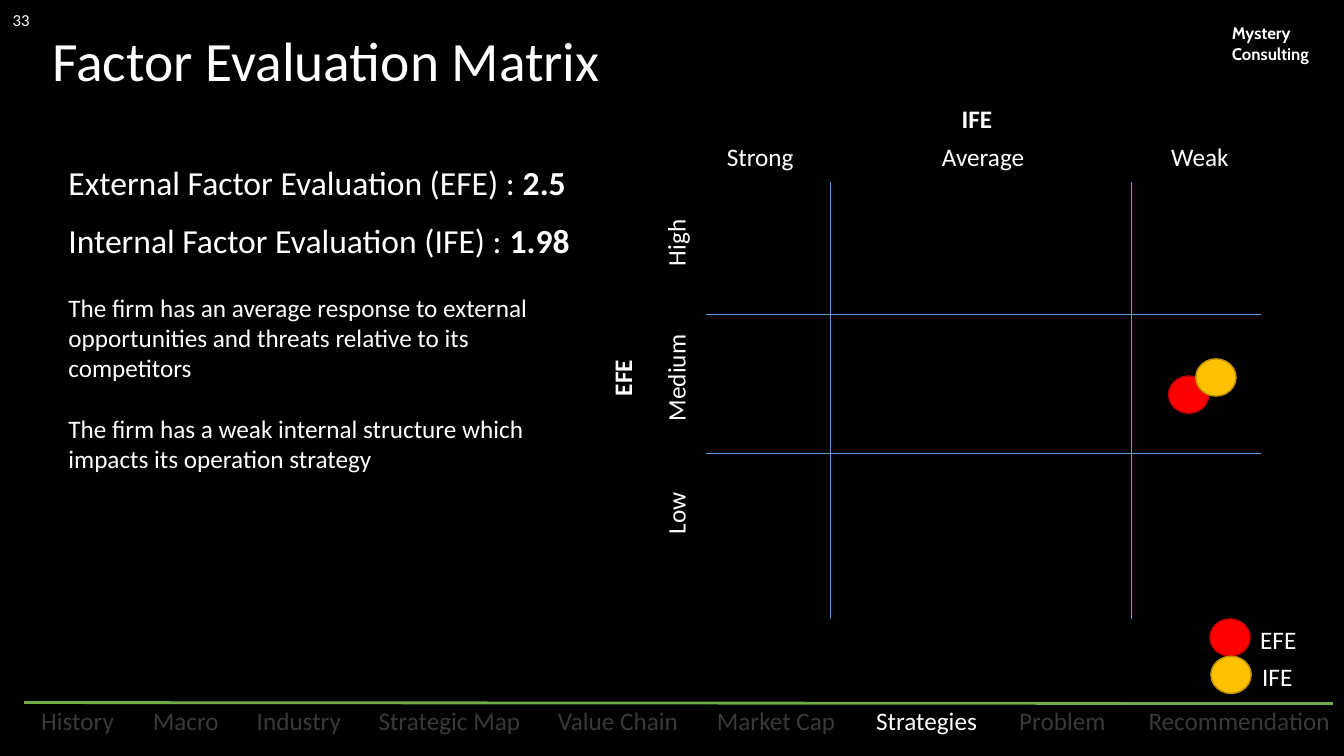
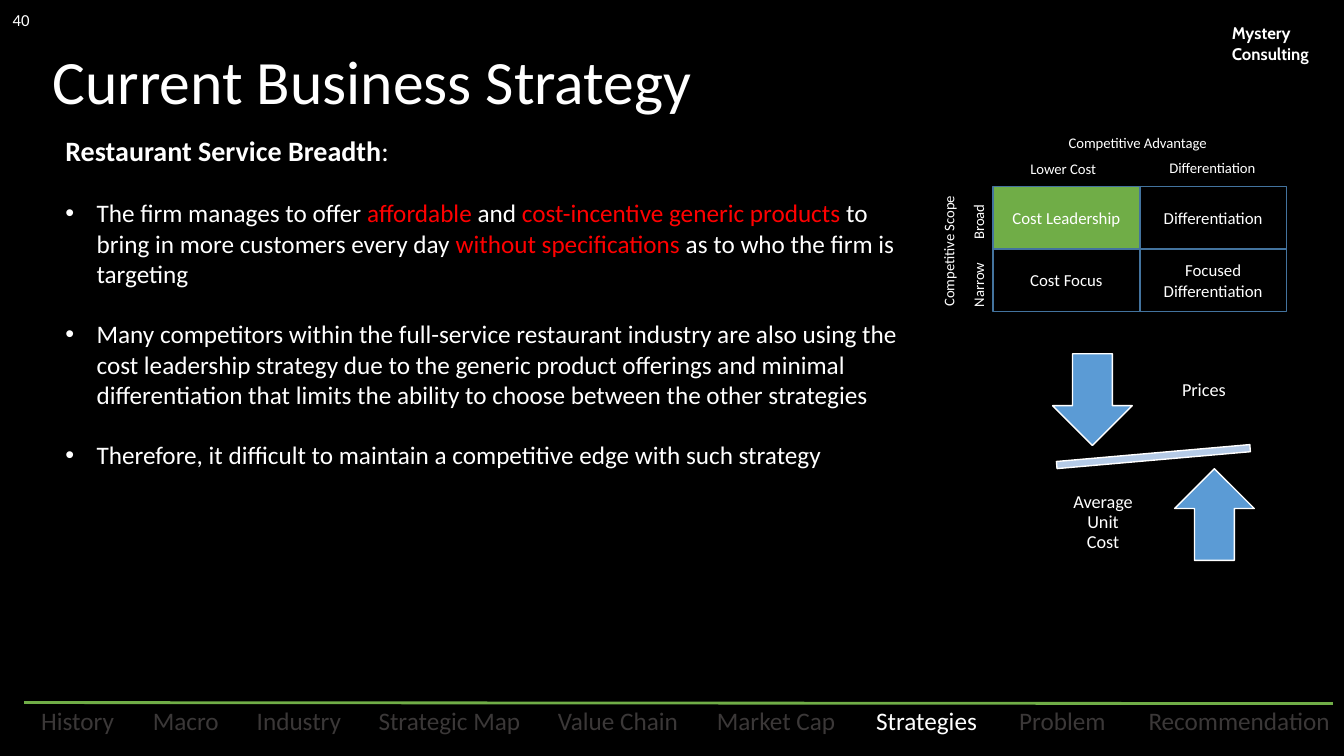
"""Build two strategy slides that share a title style, a firm name and a chapter bar."""
from lxml import etree
from pptx import Presentation
from pptx import util as u
from pptx.dml.color import RGBColor
from pptx.enum import shapes, text
from pptx.oxml import ns

WIDTH, HEIGHT = 13.33, 7.5
FONT = "Calibri"
COLORS = {
    "black": "000000", "white": "FFFFFF", "muted": "3B3838", "green": "70AD47",
    "blue": "5B9BD5", "border": "43739E", "pale": "B5CBE7", "red": "FF0000",
    "dark red": "BD0000", "gold": "FFC000", "dark gold": "BD8E00",
}
KIND = shapes.MSO_SHAPE
LEFT, CENTER = text.PP_ALIGN.LEFT, text.PP_ALIGN.CENTER
TOP, MIDDLE = text.MSO_ANCHOR.TOP, text.MSO_ANCHOR.MIDDLE

FIRM = "Mystery Consulting"
CURRENT = "Strategies"
CHAPTERS = [
    ("History", 0.98), ("Macro", 0.92), ("Industry", 1.08), ("Strategic Map", 1.66),
    ("Value Chain", 1.44), ("Market Cap", 1.45), ("Strategies", 1.29),
    ("Problem", 1.16), ("Recommendation", 2.1),
]
CHAPTER_LEFT, CHAPTER_RIGHT, BAR_Y = 0.28, 13.34, 6.97

SCORES = [("External Factor Evaluation (EFE) : ", "2.5"),
          ("Internal Factor Evaluation (IFE) : ", "1.98")]
FINDINGS = [
    "The firm has an average response to external opportunities and threats "
    "relative to its competitors",
    "The firm has a weak internal structure which impacts its operation strategy",
]
IFE_LEVELS = [("Strong", 6.83), ("Average", 9.04), ("Weak", 11.19)]
EFE_LEVELS = ["High", "Medium", "Low"]
FIELD = {"left": 7, "right": 12.51, "top": 1.81, "bottom": 6.14,
         "columns": [8.24, 11.22], "rows": [3.12, 4.5]}
FACTORS = [
    {"name": "EFE", "fill": "red", "line": "dark red", "spot": (11.59, 3.73)},
    {"name": "IFE", "fill": "gold", "line": "dark gold", "spot": (11.86, 3.56)},
]
DOT = (0.4, 0.37)

RED = {"color": "red"}
BREADTH = [
    [("Restaurant Service Breadth", {"bold": True, "size": 20}), (":", {"size": 20})],
    [("The firm manages to offer ", {}), ("affordable", RED), (" and ", {}),
     ("cost-incentive generic products ", RED),
     ("to bring in more customers every day ", {}), ("without specifications ", RED),
     ("as to who the firm is targeting", {})],
    "Many competitors within the full-service restaurant industry are also using the cost "
    "leadership strategy due to the generic product offerings and minimal differentiation "
    "that limits the ability to choose between the other strategies",
    "Therefore, it difficult to maintain a competitive edge with such strategy",
]
STRATEGIES = [["Cost Leadership", "Differentiation"],
              ["Cost Focus", "Focused Differentiation"]]
STRATEGY_AXES = [
    ("Competitive Scope", (8.74, 2.32, 1.35, 0.29), 270),
    ("Narrow", (9.37, 2.66, 0.68, 0.29), 270),
    ("Broad", (9.37, 1.99, 0.68, 0.29), 270),
    ("Competitive Advantage", (10.5, 1.28, 1.63, 0.28), 0),
    ("Lower Cost", (10.12, 1.54, 0.91, 0.28), 0),
    ("Differentiation", (11.5, 1.53, 1.08, 0.28), 0),
]
BALANCE = [
    (KIND.MATH_MINUS, (10.13, 4.38, 2.62, 0.3), "pale", 355),
    (KIND.DOWN_ARROW, (10.44, 3.51, 0.79, 0.91), "blue", 0),
    (KIND.UP_ARROW, (11.65, 4.65, 0.79, 0.91), "blue", 0),
]
BALANCE_LABELS = [("Prices", (11.52, 3.4, 0.84, 0.95)),
                  ("Average Unit Cost", (10.52, 4.71, 0.84, 0.95))]


def rgb(name):
    return RGBColor.from_string(COLORS[name])


def inches(lengths):
    return [u.Inches(length) for length in lengths]


def write(shape, paragraphs, size=18, color="white", bold=False, font=FONT, align=LEFT,
          anchor=TOP, inset=0.1, gap=0, leading=None, bullets_from=None):
    """Fill a shape with paragraphs, each a string or a list of (text, format) runs."""
    frame = shape.text_frame
    frame.word_wrap = True
    frame.auto_size = text.MSO_AUTO_SIZE.NONE
    frame.vertical_anchor = anchor
    frame.margin_left = frame.margin_right = u.Inches(inset)
    frame.margin_top = frame.margin_bottom = u.Inches(inset / 2)
    if isinstance(paragraphs, str):
        paragraphs = [paragraphs]
    for number, runs in enumerate(paragraphs):
        paragraph = frame.add_paragraph() if number else frame.paragraphs[0]
        paragraph.alignment = align
        if leading:
            paragraph.line_spacing = leading
        if number and gap:
            paragraph.space_before = u.Pt(gap)
        if bullets_from is not None and number >= bullets_from:
            properties = paragraph._p.get_or_add_pPr()
            properties.set("marL", str(u.Inches(0.31)))
            properties.set("indent", str(u.Inches(-0.31)))
            etree.SubElement(properties, ns.qn("a:buFont")).set("typeface", "Arial")
            etree.SubElement(properties, ns.qn("a:buChar")).set("char", "•")
        for words, own in [(runs, {})] if isinstance(runs, str) else runs:
            run = paragraph.add_run()
            run.text = words
            run.font.name = font
            run.font.size = u.Pt(own.get("size", size))
            run.font.bold = own.get("bold", bold)
            run.font.color.rgb = rgb(own.get("color", color))


def label(slide, paragraphs, place, turn=0, **style):
    box = slide.shapes.add_textbox(*inches(place))
    box.rotation = turn
    write(box, paragraphs, **style)
    return box


def draw(slide, kind, place, fill=None, line=None, turn=0):
    shape = slide.shapes.add_shape(kind, *inches(place))
    shape.shadow.inherit = False
    shape.rotation = turn
    if fill:
        shape.fill.solid()
        shape.fill.fore_color.rgb = rgb(fill)
    else:
        shape.fill.background()
    if line:
        shape.line.color.rgb = rgb(line)
        shape.line.width = u.Pt(1)
    else:
        shape.line.fill.background()
    return shape


def rule(slide, start, end, color, weight):
    line = slide.shapes.add_connector(shapes.MSO_CONNECTOR.STRAIGHT, *inches(start + end))
    line.line.color.rgb = rgb(color)
    line.line.width = u.Pt(weight)
    etree.SubElement(line.element.spPr, ns.qn("a:effectLst"))
    return line


def share_parts(slide, layout):
    """Move the chapter bar and the firm name to the layout."""
    for holder in list(layout.placeholders):
        if holder.placeholder_format.type != shapes.PP_PLACEHOLDER.TITLE:
            layout.shapes.element.remove(holder.element)
    parts = [rule(slide, (0.24, BAR_Y), (13.22, BAR_Y + 0.01), "green", 2),
             label(slide, FIRM, (12.12, 0.18, 1.1, 0.5), size=12, font="Cabin", bold=True)]
    free = CHAPTER_RIGHT - CHAPTER_LEFT - sum(width for _, width in CHAPTERS)
    left = CHAPTER_LEFT
    for chapter, width in CHAPTERS:
        tab = draw(slide, KIND.ROUNDED_RECTANGLE, (left, BAR_Y + 0.02, width, 0.32))
        write(tab, chapter, color="white" if chapter == CURRENT else "muted",
              align=CENTER, anchor=MIDDLE, inset=0)
        parts.append(tab)
        left += width + free / (len(CHAPTERS) - 1)
    for part in parts:
        layout.shapes.element.append(part.element)


def start_slide(deck, layout, title, number, top, height, size):
    slide = deck.slides.add_slide(layout)
    heading = slide.shapes.title
    heading.left, heading.top, heading.width, heading.height = inches(
        (0.42, top, 11.31, height))
    write(heading, title, size=size, anchor=MIDDLE, leading=0.9)
    label(slide, number, (0, 0, 0.42, 0.4), size=12, align=CENTER, anchor=MIDDLE, inset=0)
    return slide


def fill_evaluation(slide):
    for row, (name, score) in enumerate(SCORES):
        label(slide, [[(name, {}), (score, {"bold": True})]],
              (0.58, 1.56 + 0.57 * row, 6.26, 0.5), size=24)
    label(slide, FINDINGS, (0.58, 2.85, 5.28, 1.92), gap=21.6)

    for x in FIELD["columns"]:
        rule(slide, (x, FIELD["top"]), (x, FIELD["bottom"]), "blue", 0.5)
    for y in FIELD["rows"]:
        rule(slide, (FIELD["left"], y), (FIELD["right"], y), "blue", 0.5)
    label(slide, "IFE", (8.98, 0.98, 1.42, 0.4), bold=True, align=CENTER)
    label(slide, "EFE", (5.46, 3.55, 1.42, 0.4), turn=270, bold=True, align=CENTER)
    for level, left in IFE_LEVELS:
        label(slide, level, (left, 1.35, 1.42, 0.4), align=CENTER)
    for row, level in enumerate(EFE_LEVELS):
        label(slide, level, (5.99, 2.21 + 1.34 * row, 1.42, 0.4), turn=270, align=CENTER)

    for step, factor in enumerate(FACTORS):
        key_top = FIELD["bottom"] + DOT[1] * step
        for spot in [(12 + 0.01 * step, key_top), factor["spot"]]:
            draw(slide, KIND.OVAL, spot + DOT, factor["fill"], factor["line"])
        label(slide, factor["name"], (12.4 + 0.02 * step, key_top, 0.78, 0.4))


def fill_strategy(slide):
    width, height = 1.455, 0.62
    for row, names in enumerate(STRATEGIES):
        for column, name in enumerate(names):
            chosen = "green" if name == "Cost Leadership" else None
            cell = draw(slide, KIND.RECTANGLE,
                        (9.85 + width * column, 1.85 + height * row, width, height),
                        chosen, "border")
            write(cell, name, size=12, align=CENTER, anchor=MIDDLE)
    for name, place, turn in STRATEGY_AXES:
        label(slide, name, place, turn=turn, size=10.5)
    label(slide, BREADTH, (0.55, 1.28, 8.7, 5.24), gap=21.6, bullets_from=1)
    for kind, place, fill, turn in BALANCE:
        draw(slide, kind, place, fill, "white", turn)
    for name, place in BALANCE_LABELS:
        label(slide, name, place, size=13, align=CENTER, anchor=MIDDLE, leading=0.9)


def main():
    deck = Presentation()
    deck.slide_width, deck.slide_height = inches((WIDTH, HEIGHT))
    background = deck.slide_master.background.fill
    background.solid()
    background.fore_color.rgb = rgb("black")
    layout = deck.slide_layouts[5]

    evaluation = start_slide(deck, layout, "Factor Evaluation Matrix", "33", 0.29, 0.68, 39.6)
    share_parts(evaluation, layout)
    fill_evaluation(evaluation)
    strategy = start_slide(deck, layout, "Current Business Strategy", "40", 0.4, 0.88, 44)
    fill_strategy(strategy)
    deck.save("out.pptx")


if __name__ == "__main__":
    main()
